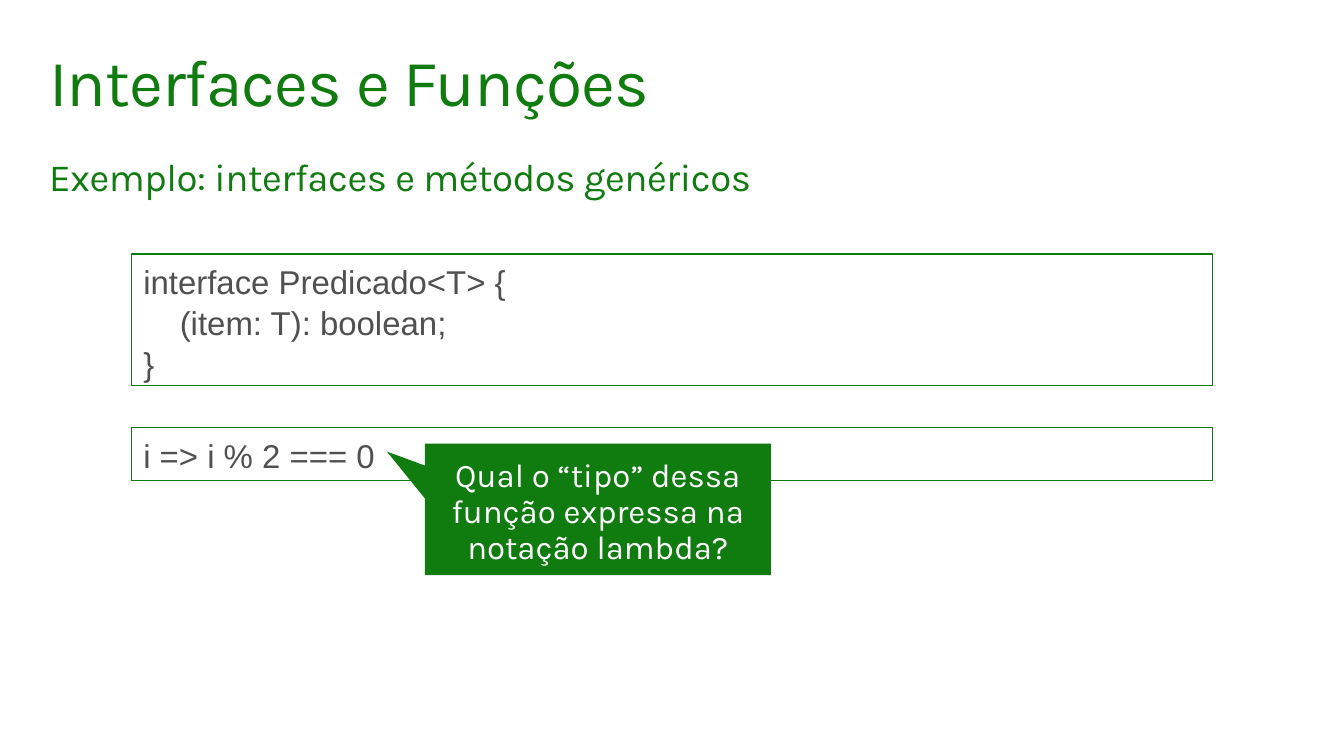
from pptx import Presentation
from pptx.dml.color import RGBColor
from pptx.enum.shapes import MSO_SHAPE
from pptx.enum.text import MSO_ANCHOR, PP_ALIGN
from pptx.util import Inches, Pt

RECT = MSO_SHAPE.RECTANGLE
CALLOUT = MSO_SHAPE.RECTANGULAR_CALLOUT
TOP = MSO_ANCHOR.TOP
LEFT, CENTER = PP_ALIGN.LEFT, PP_ALIGN.CENTER

COLORS = {"green": "107C10", "gray": "505050", "white": "FFFFFF"}
PROSE, CODE = "Karla", "Arial"


def color(name):
    return RGBColor.from_string(COLORS[name])


class Page:
    def __init__(self, slide):
        self.slide = slide

    def label(self, shape, lines, size, font, ink, pad, gap, align=LEFT, track=0):
        """Fill a shape with one paragraph per line; track is letter spacing in points."""
        frame = shape.text_frame
        frame.word_wrap = True
        frame.vertical_anchor = TOP
        frame.margin_left = frame.margin_right = Inches(pad[0])
        frame.margin_top = frame.margin_bottom = Inches(pad[1])
        for i, line in enumerate(lines):
            para = frame.add_paragraph() if i else frame.paragraphs[0]
            para.alignment = align
            para.line_spacing = gap
            run = para.add_run()
            run.text = line
            run.font.size = Pt(size)
            run.font.name = font
            run.font.color.rgb = color(ink)
            if track:
                run._r.get_or_add_rPr().set("spc", str(round(track * 100)))

    def shape(self, kind, box, fill):
        shape = self.slide.shapes.add_shape(kind, *map(Inches, box))
        shape.shadow.inherit = False
        shape.fill.solid()
        shape.fill.fore_color.rgb = color(fill)
        shape.line.fill.background()
        return shape

    def heading(self, text, top, height, size, track):
        box = self.slide.shapes.add_textbox(
            Inches(0.4), Inches(top), Inches(12.8), Inches(height))
        self.label(box, [text], size, PROSE, "green", (0.1, 0.1), 0.9, track=track)

    def code(self, lines, top, height):
        box = self.shape(RECT, (1.33, top, 10.94, height), "white")
        box.line.color.rgb = color("green")
        box.line.width = Pt(0.85)
        self.label(box, lines, 24, CODE, "gray", (0.12, 0.06), 1.04)

    def callout(self, text, box, tip):
        """Tip is the pointer's end, as shares of the box size from its centre."""
        note = self.shape(CALLOUT, box, "green")
        note.adjustments[0], note.adjustments[1] = tip
        self.label(note, [text], 24, PROSE, "white", (0.2, 0.16), 0.9, CENTER)


def main():
    deck = Presentation()
    deck.slide_width, deck.slide_height = Inches(13.6), Inches(7.65)
    page = Page(deck.slides.add_slide(deck.slide_layouts[6]))

    page.heading("Interfaces e Funções", 0.4, 1, 48, -0.7)
    page.heading("Exemplo: interfaces e métodos genéricos", 1.5, 0.63, 28, -0.3)
    page.code(["interface Predicado<T> {", "    (item: T): boolean;", "}"], 2.57, 1.33)
    page.code(["i => i % 2 === 0"], 4.33, 0.53)
    page.callout("Qual o “tipo” dessa função expressa na notação lambda?",
                 (4.3, 4.49, 3.5, 1.33), (-0.61, -0.44))

    deck.save("out.pptx")


if __name__ == "__main__":
    main()
